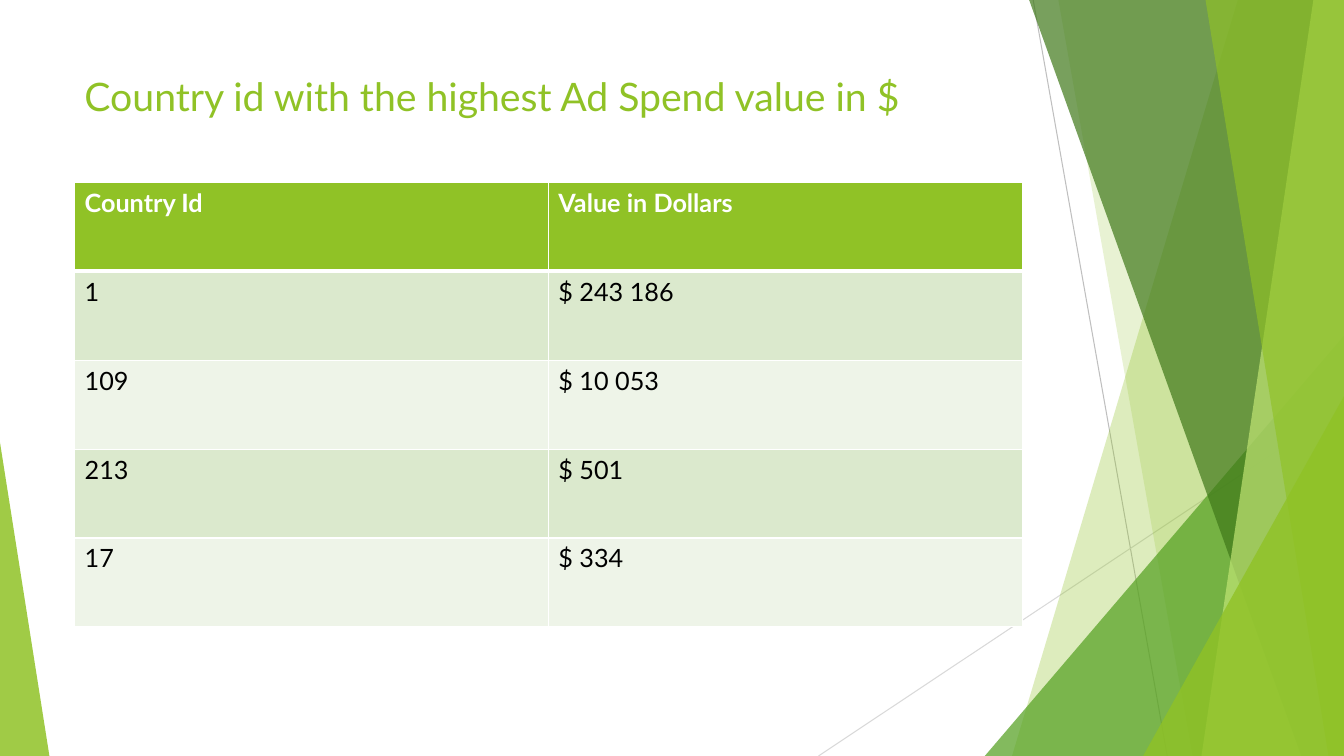
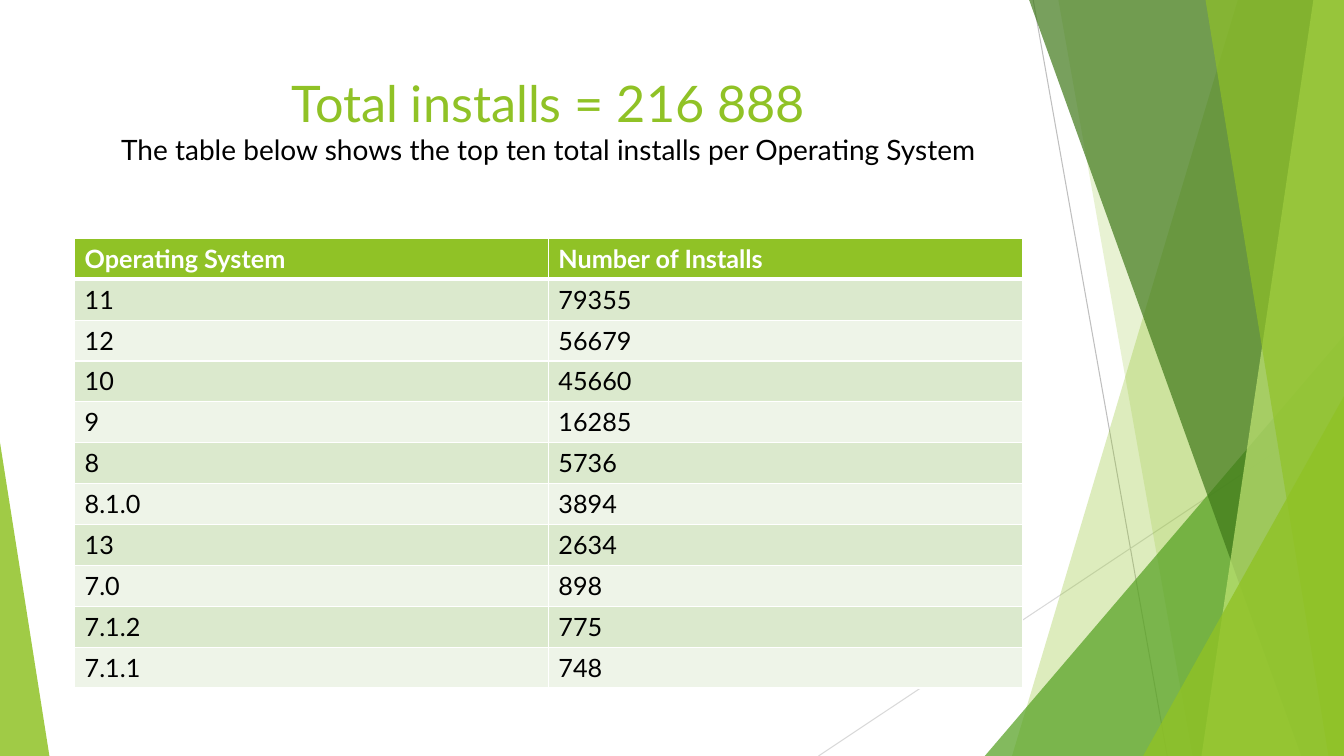
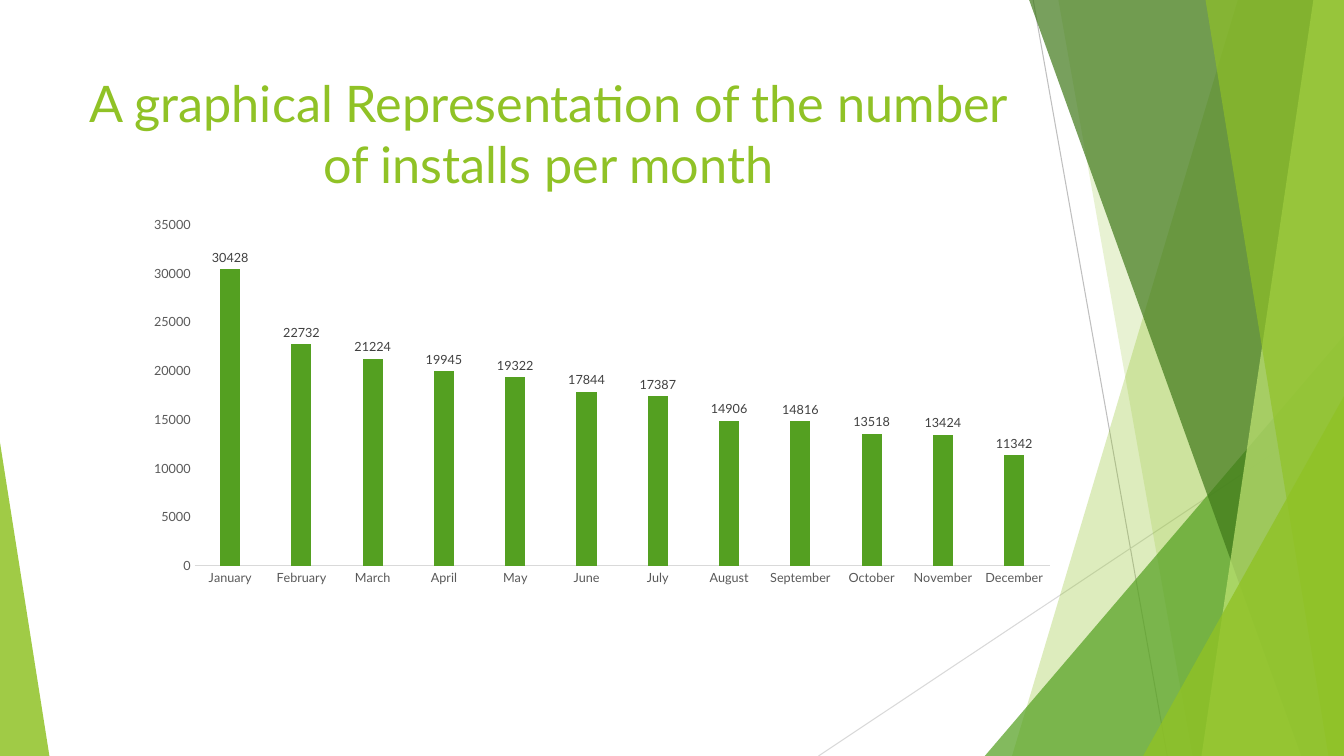
from lxml import etree
from pptx import Presentation
from pptx.chart.data import CategoryChartData
from pptx.dml.color import RGBColor
from pptx.enum.chart import XL_CHART_TYPE, XL_LABEL_POSITION, XL_TICK_MARK
from pptx.enum.shapes import MSO_CONNECTOR, MSO_SHAPE
from pptx.enum.text import PP_ALIGN
from pptx.oxml import parse_xml
from pptx.oxml.ns import nsdecls, qn
from pptx.util import Pt

STRAIGHT = MSO_CONNECTOR.STRAIGHT
TRIANGLE = MSO_SHAPE.ISOSCELES_TRIANGLE
LEFT, CENTER = PP_ALIGN.LEFT, PP_ALIGN.CENTER
COLUMN = XL_CHART_TYPE.COLUMN_CLUSTERED
OUTSIDE_END = XL_LABEL_POSITION.OUTSIDE_END
NO_TICK = XL_TICK_MARK.NONE

LIME = RGBColor(0x90, 0xC2, 0x26)
GREEN = RGBColor(0x54, 0xA0, 0x21)
DARK_GREEN = RGBColor(0x3F, 0x78, 0x19)
PALE_LIME = RGBColor(0xC0, 0xE4, 0x74)
BAND_DARK = RGBColor(0xDB, 0xE9, 0xCD)
BAND_LIGHT = RGBColor(0xEE, 0xF4, 0xE8)
WHITE = RGBColor(0xFF, 0xFF, 0xFF)
BLACK = RGBColor(0, 0, 0)
GRAY = RGBColor(0xBF, 0xBF, 0xBF)
LIGHT_GRAY = RGBColor(0xD9, 0xD9, 0xD9)
AXIS_GRAY = RGBColor(0x59, 0x59, 0x59)
LABEL_GRAY = RGBColor(0x40, 0x40, 0x40)

FONT = "Lato"
W, H = 960, 540
MARGIN, CONTENT_W = 53.28, 676.8


def add_text(p, text, size=18, color=LIME, bold=False, align=LEFT):
    p.alignment = align
    r = p.add_run()
    r.text = text
    r.font.name = FONT
    r.font.size = Pt(size)
    r.font.color.rgb = color
    r.font.bold = bold


prs = Presentation()
prs.slide_width, prs.slide_height = Pt(W), Pt(H)
layout = prs.slide_layouts[6]
slides = [prs.slides.add_slide(layout) for _ in range(3)]

shapes = slides[0].shapes
decor = []
for x1, y1, x2, y2, color in [
    (738, 0, 833.76, H, GRAY),
    (W, 290.16, 584.64, H, LIGHT_GRAY),
]:
    line = shapes.add_connector(STRAIGHT, Pt(x1), Pt(y1), Pt(x2), Pt(y2))
    line.line.color.rgb = color
    line.line.width = Pt(0.75)
    etree.SubElement(line.element.spPr, qn("a:effectLst"))
    decor.append(line)

for kind, geometry, color, alpha in [
    ("band", (884.16, 722.88), LIME, 30),
    ("band", (756, 851.76), LIME, 20),
    ("triangle", (703.44, 256.56, 300.24, 1), GREEN, 72),
    ("band", (735.12, 929.52), DARK_GREEN, 70),
    ("band", (938.16, 858.24), PALE_LIME, 70),
    ("band", (861.12, 948.96), LIME, 65),
    ("triangle", (816.48, 143.52, 257.04, 1), LIME, 80),
    ("triangle", (0, 35.28, 223.92, 0), LIME, 85),
]:
    if kind == "band":
        top_x, bottom_x = geometry
        outline = shapes.build_freeform(Pt(top_x), Pt(0))
        outline.add_line_segments(
            [(Pt(W), Pt(0)), (Pt(W), Pt(H)), (Pt(bottom_x), Pt(H))], close=True
        )
        sp = outline.convert_to_shape()
    else:
        x, w, h, apex = geometry
        sp = shapes.add_shape(TRIANGLE, Pt(x), Pt(H - h), Pt(w), Pt(h))
        sp.adjustments[0] = apex
    sp.shadow.inherit = False
    sp.line.fill.background()
    sp.fill.solid()
    sp.fill.fore_color.rgb = color
    clr = sp.element.xpath("p:spPr/a:solidFill/a:srgbClr")[0]
    etree.SubElement(clr, qn("a:alpha"), val=str(alpha * 1000))
    decor.append(sp)

for sp in decor:
    layout.shapes.element.append(sp.element)

titles = [
    (82.08, LEFT, [("Country id with the highest Ad Spend value in $", 28, LIME)]),
    (103.68, CENTER, [
        ("Total installs = 216 888", 36, LIME),
        ("The table below shows the top ten total installs per Operating System", 20, BLACK),
    ]),
    (103.68, CENTER, [
        ("A graphical Representation of the number of installs per month", 36, LIME),
    ]),
]
for s, (height, align, lines) in zip(slides, titles):
    box = s.shapes.add_textbox(Pt(MARGIN), Pt(48.24), Pt(CONTENT_W), Pt(height))
    tf = box.text_frame
    tf.word_wrap = True
    p = tf.paragraphs[0]
    for i, (text, size, color) in enumerate(lines):
        if i:
            p.add_line_break()
        add_text(p, text, size=size, color=color, align=align)

tables = [
    (130.32, 63.5, [
        ("Country Id", "Value in Dollars"),
        ("1", "$ 243 186"),
        ("109", "$ 10 053"),
        ("213", "$ 501"),
        ("17", "$ 334"),
    ]),
    (170.28, 29.2, [
        ("Operating System", "Number of Installs"),
        ("11", "79355"),
        ("12", "56679"),
        ("10", "45660"),
        ("9", "16285"),
        ("8", "5736"),
        ("8.1.0", "3894"),
        ("13", "2634"),
        ("7.0", "898"),
        ("7.1.2", "775"),
        ("7.1.1", "748"),
    ]),
]
for s, (top, row_h, rows) in zip(slides, tables):
    table = s.shapes.add_table(
        len(rows), 2, Pt(MARGIN), Pt(top), Pt(CONTENT_W), Pt(row_h * len(rows))
    ).table
    for i, values in enumerate(rows):
        table.rows[i].height = Pt(row_h)
        header = i == 0
        band = LIME if header else BAND_DARK if i % 2 else BAND_LIGHT
        for j, text in enumerate(values):
            cell = table.cell(i, j)
            tcPr = cell._tc.get_or_add_tcPr()
            for side in "LRTB":
                thick = (i, side) in ((0, "B"), (1, "T"))
                tcPr.append(parse_xml(
                    f'<a:ln{side} {nsdecls("a")} w="{Pt(3 if thick else 1)}">'
                    f'<a:solidFill><a:srgbClr val="{WHITE}"/></a:solidFill></a:ln{side}>'
                ))
            cell.fill.solid()
            cell.fill.fore_color.rgb = band
            add_text(cell.text_frame.paragraphs[0], text,
                     color=WHITE if header else BLACK, bold=header)

data = CategoryChartData()
data.categories = ["January", "February", "March", "April", "May", "June", "July",
                   "August", "September", "October", "November", "December"]
data.add_series("Series 1", [30428, 22732, 21224, 19945, 19322, 17844, 17387,
                             14906, 14816, 13518, 13424, 11342])
chart = slides[2].shapes.add_chart(
    COLUMN, Pt(MARGIN), Pt(151.92), Pt(696.96), Pt(388.8), data
).chart
chart.has_title = False
chart.has_legend = False
chart.font.name = FONT
chart.font.size = Pt(10)
chart.font.color.rgb = BLACK

plot = chart.plots[0]
plot.vary_by_categories = False
plot.gap_width = 256
plot.overlap = -27
plot.series[0].format.fill.solid()
plot.series[0].format.fill.fore_color.rgb = GREEN
plot.has_data_labels = True
labels = plot.data_labels
labels.show_value = True
labels.position = OUTSIDE_END

category_axis, value_axis = chart.category_axis, chart.value_axis
for axis in (category_axis, value_axis):
    axis.has_major_gridlines = False
    axis.major_tick_mark = axis.minor_tick_mark = NO_TICK
for font, color in [
    (category_axis.tick_labels.font, AXIS_GRAY),
    (value_axis.tick_labels.font, AXIS_GRAY),
    (labels.font, LABEL_GRAY),
]:
    font.name = FONT
    font.size = Pt(9)
    font.color.rgb = color
category_axis.format.line.color.rgb = LIGHT_GRAY
category_axis.format.line.width = Pt(0.75)
value_axis.format.line.fill.background()
value_axis.minimum_scale = 0
value_axis.maximum_scale = 35000
value_axis.major_unit = 5000

plot_area = chart.element.xpath("c:chart/c:plotArea")[0]
for old in plot_area.findall(qn("c:layout")):
    plot_area.remove(old)
plot_area.insert(0, parse_xml(
    f'<c:layout {nsdecls("c")}><c:manualLayout><c:layoutTarget val="inner"/>'
    '<c:xMode val="edge"/><c:yMode val="edge"/><c:x val="0.123"/><c:y val="0.022"/>'
    '<c:w val="0.877"/><c:h val="0.627"/></c:manualLayout></c:layout>'
))

prs.save("out.pptx")
